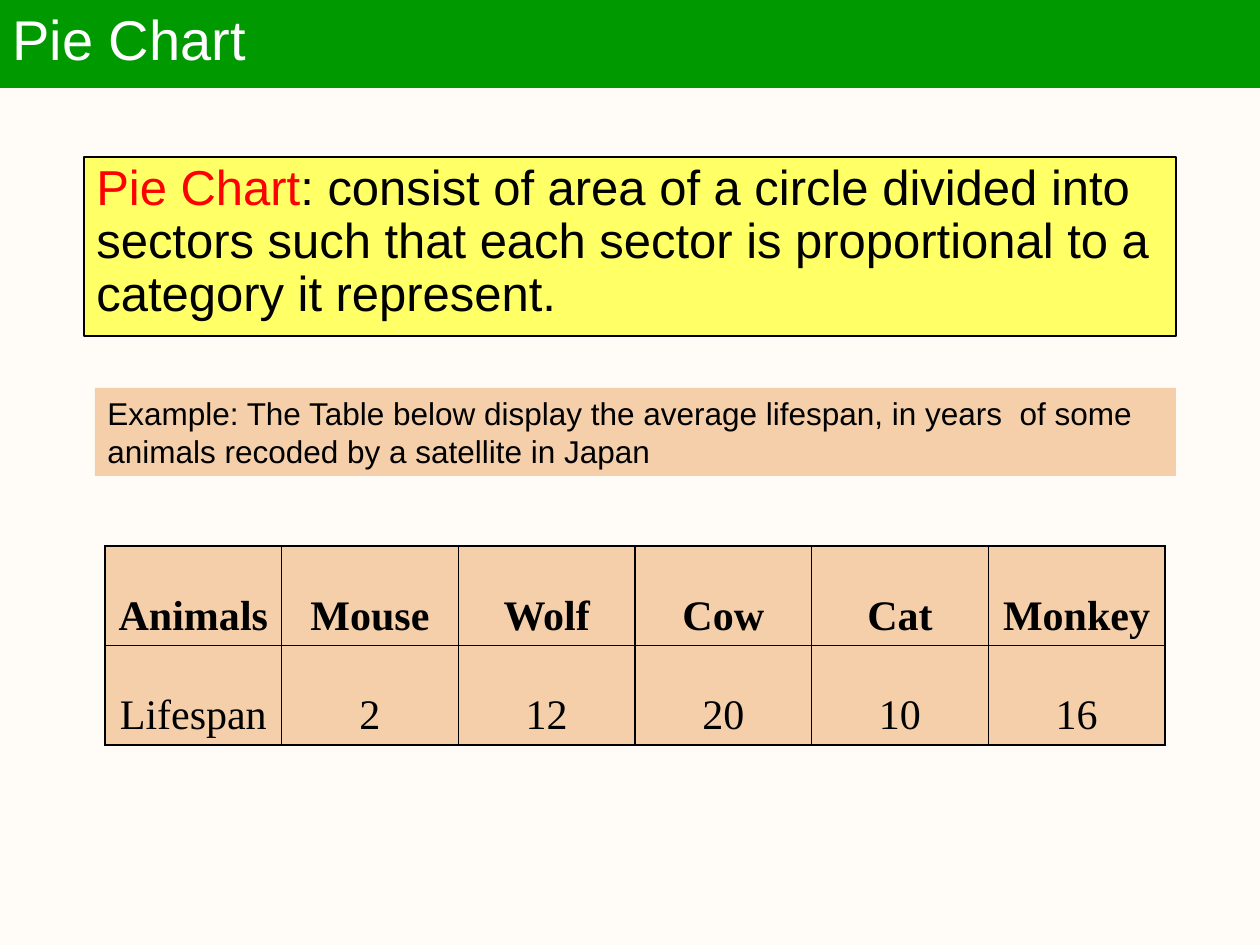
from dataclasses import dataclass

from lxml.etree import SubElement
from pptx import Presentation
from pptx.dml.color import RGBColor as Color
from pptx.enum.shapes import MSO_SHAPE as Shape
from pptx.enum.text import MSO_ANCHOR as Anchor, MSO_AUTO_SIZE as AutoSize, PP_ALIGN as Align
from pptx.oxml.ns import qn
from pptx.util import Emu, Pt


@dataclass(frozen=True)
class Theme:
    background: str = "FFFCF7"
    green: str = "009900"
    yellow: str = "FFFF66"
    peach: str = "F4CFAA"
    red: str = "FF0000"
    black: str = "000000"
    white: str = "FFFFFF"
    sans: str = "Arial"
    serif: str = "Times New Roman"
    title_size: int = 32
    definition_size: int = 28
    table_size: int = 24
    example_size: int = 18
    thin: float = 0.75
    outer: float = 1


theme = Theme()
EMU_PER_PX = 914400 / 126


def px(*lengths):
    return [Emu(round(length * EMU_PER_PX)) for length in lengths]


def add_span(para, text, size, color, font=theme.sans, bold=False):
    span = para.add_run()
    span.text = text
    span.font.name = font
    span.font.size = Pt(size)
    span.font.bold = bold
    span.font.color.rgb = Color.from_string(color)


deck = Presentation()
deck.slide_width, deck.slide_height = px(1260, 945)
page = deck.slides.add_slide(deck.slide_layouts[5])
page.background.fill.solid()
page.background.fill.fore_color.rgb = Color.from_string(theme.background)

title = page.shapes.title
title.left, title.top, title.width, title.height = px(0, -2, 1260, 89)
definition = page.shapes.add_shape(Shape.RECTANGLE, *px(84, 157, 1092, 179))
example = page.shapes.add_shape(Shape.RECTANGLE, *px(95, 388, 1081, 88))

for box, fill, line, anchor, spacing, spans in [
    (title, theme.green, theme.green, Anchor.MIDDLE, 0.9,
     [("Pie Chart", theme.title_size, theme.white)]),
    (definition, theme.yellow, theme.black, Anchor.TOP, 0.9,
     [("Pie Chart", theme.definition_size, theme.red),
      (": consist of area of a circle divided into sectors such that each sector "
       "is proportional to a category it represent.", theme.definition_size, theme.black)]),
    (example, theme.peach, None, Anchor.TOP, 1.0,
     [("Example: The Table below display the average lifespan, in years  of some "
       "animals recoded by a satellite in Japan", theme.example_size, theme.black)]),
]:
    box.shadow.inherit = False
    box.fill.solid()
    box.fill.fore_color.rgb = Color.from_string(fill)
    if line:
        box.line.color.rgb = Color.from_string(line)
        box.line.width = Pt(theme.thin)
    else:
        box.line.fill.background()
    frame = box.text_frame
    frame.word_wrap = True
    frame.auto_size = AutoSize.NONE
    frame.vertical_anchor = anchor
    para = frame.paragraphs[0]
    para.alignment = Align.LEFT
    para.line_spacing = spacing
    for text, size, color in spans:
        add_span(para, text, size, color)

lifespans = [
    ("Animals", "Mouse", "Wolf", "Cow", "Cat", "Monkey"),
    ("Lifespan", "2", "12", "20", "10", "16"),
]
last_row, last_column = len(lifespans) - 1, len(lifespans[0]) - 1
table = page.shapes.add_table(
    len(lifespans), len(lifespans[0]), *px(105, 546, 1060, 199)
).table
table.first_row = False
table.horz_banding = False

for row, values in enumerate(lifespans):
    for column, value in enumerate(values):
        cell = table.cell(row, column)
        cell.vertical_anchor = Anchor.BOTTOM
        para = cell.text_frame.paragraphs[0]
        para.alignment = Align.CENTER
        add_span(para, value, theme.table_size, theme.black, theme.serif, bold=row == 0)
        properties = cell._tc.get_or_add_tcPr()
        for side, is_outer in [
            ("L", column == 0),
            ("R", column == last_column),
            ("T", row == 0),
            ("B", row == last_row),
        ]:
            width = Pt(theme.outer if is_outer else theme.thin)
            border = SubElement(properties, qn(f"a:ln{side}"), w=str(width))
            paint = SubElement(border, qn("a:solidFill"))
            SubElement(paint, qn("a:srgbClr"), val=theme.black)
        cell.fill.solid()
        cell.fill.fore_color.rgb = Color.from_string(theme.peach)

deck.save("out.pptx")
